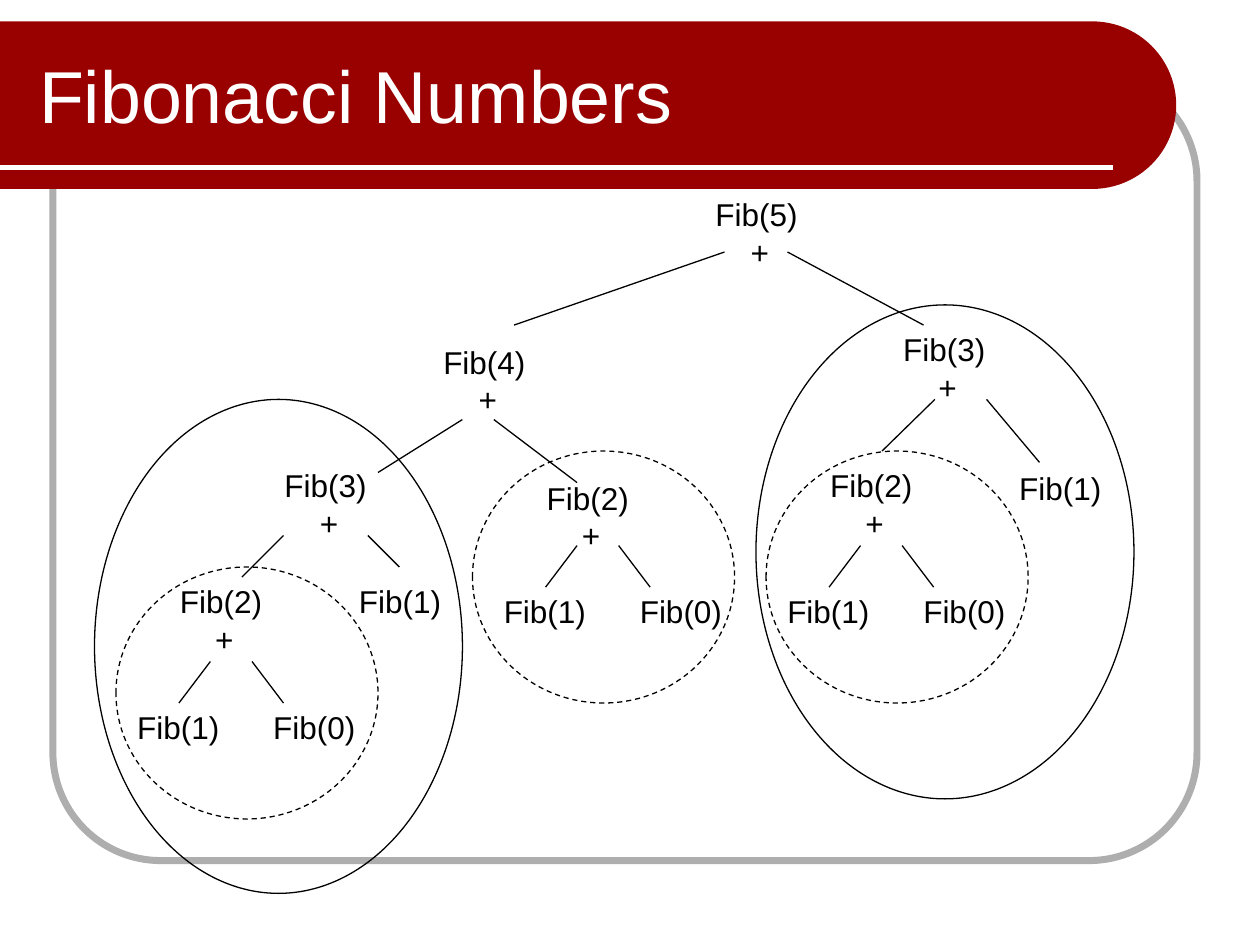
from math import cos, pi, sin

from pptx import Presentation
from pptx.dml.color import RGBColor
from pptx.enum.dml import MSO_LINE
from pptx.enum.shapes import MSO_CONNECTOR, MSO_SHAPE
from pptx.enum.text import MSO_ANCHOR, PP_ALIGN
from pptx.oxml import parse_xml
from pptx.oxml.ns import nsdecls
from pptx.util import Inches, Pt

RED = RGBColor(0x99, 0x00, 0x00)
GRAY = RGBColor(0xAE, 0xAE, 0xAE)
BLACK = RGBColor(0x00, 0x00, 0x00)
WHITE = RGBColor(0xFF, 0xFF, 0xFF)
FONT = "Arial"

TITLE = "Fibonacci Numbers"

# Calls: n, left, top
SUMS = [(5, 5.58, 1.5), (4, 3.42, 2.67), (3, 7.07, 2.57), (3, 2.16, 3.65)]
ONES = [(1, 7.99, 3.67), (1, 2.75, 4.57)]

# Branches: x and y of the start, x and y of the end
EDGES = [
    (5.75, 2, 4.08, 2.58), (6.25, 2, 7.33, 2.58),
    (3.67, 3.33, 3, 3.75), (3.92, 3.33, 4.58, 3.83),
    (7.42, 3.17, 7, 3.58), (7.83, 3.17, 8.25, 3.67),
    (2.25, 4.25, 1.92, 4.58), (2.92, 4.25, 3.17, 4.5),
]

# Repeated Fib(2) trees: left and top of the ring, shift of the tree, drop of its root
TWOS = [(0.92, 4.5, 0, 0), (3.75, 3.58, 0.08, 0.1), (6.08, 3.58, 0, 0)]

# Repeated Fib(3) trees: left, top, width, height of the ring
THREES = [(0.75, 3.17, 2.92, 3.92), (6, 2.42, 3, 3.92)]


def inches(*sizes):
    return [Inches(size) for size in sizes]


def style(run, size, color):
    run.font.name = FONT
    run.font.size = Pt(size)
    run.font.color.rgb = color


def outline(shape, color, width):
    """Leave only the line of a shape."""
    shape.shadow.inherit = False
    shape.fill.background()
    shape.line.color.rgb = color
    shape.line.width = Pt(width)


def add_line(shapes, ends, color=BLACK, width=0.75):
    line = shapes.add_connector(MSO_CONNECTOR.STRAIGHT, *inches(*ends))
    line.line.color.rgb = color
    line.line.width = Pt(width)
    props = line._element.spPr
    props.append(parse_xml(f"<a:effectLst {nsdecls('a')}/>"))


def add_ring(shapes, box, dash=False):
    ring = shapes.add_shape(MSO_SHAPE.OVAL, *inches(*box))
    outline(ring, BLACK, 0.75)
    if dash:
        ring.line.dash_style = MSO_LINE.DASH


def add_call(shapes, n, left, top, plus=False):
    """Write Fib(n), with an indented plus below if it branches."""
    frame = shapes.add_textbox(*inches(left, top, 0.93, 0.77)).text_frame
    frame.word_wrap = True
    para = frame.paragraphs[0]
    style(para.add_run(), 18, BLACK)
    para.runs[0].text = f"Fib({n})"
    if plus:
        para = frame.add_paragraph()
        para._p.get_or_add_pPr().set("marL", str(Inches(0.28)))
        run = para.add_run()
        run.text = "+"
        style(run, 18, BLACK)


def add_frame(shapes):
    """Draw the gray border and the red title band."""
    border = shapes.add_shape(MSO_SHAPE.ROUNDED_RECTANGLE, *inches(0.42, 0.58, 9.08, 6.25))
    border.adjustments[0] = 0.137
    outline(border, GRAY, 4)

    radius, steps = 0.665, 48
    mid_x, mid_y = 8.67, 0.835
    turns = [pi * i / steps - pi / 2 for i in range(steps + 1)]
    arc = [(mid_x + radius * cos(t), mid_y + radius * sin(t)) for t in turns]
    path = shapes.build_freeform(0, Inches(0.17), scale=1.0)
    path.add_line_segments([inches(*point) for point in arc + [(0, 1.5)]])
    band = path.convert_to_shape()
    band.shadow.inherit = False
    band.fill.solid()
    band.fill.fore_color.rgb = RED
    band.line.fill.background()
    add_line(shapes, (0, 1.33, 8.83, 1.33), WHITE, 3)


def add_title(shapes):
    title = shapes.title
    title.left, title.top, title.width, title.height = inches(0.21, 0.25, 7.79, 1)
    shapes._spTree.append(title._element)  # in front of the band
    frame = title.text_frame
    frame.vertical_anchor = MSO_ANCHOR.MIDDLE
    para = frame.paragraphs[0]
    para.alignment = PP_ALIGN.LEFT
    run = para.add_run()
    run.text = TITLE
    style(run, 42, WHITE)


def add_two(shapes, left, top, shift, drop):
    """Draw a Fib(2) tree with its two leaves and its dashed ring."""
    x = left + shift
    add_call(shapes, 2, x + 0.41, top + 0.07 + drop, plus=True)
    add_call(shapes, 1, x + 0.07, top + 1.07)
    add_call(shapes, 0, x + 1.15, top + 1.07)
    add_line(shapes, (x + 0.75, top + 0.75, x + 0.5, top + 1.08))
    add_line(shapes, (x + 1.08, top + 0.75, x + 1.33, top + 1.08))
    add_ring(shapes, (left, top, 2.08, 2), dash=True)


def main():
    deck = Presentation()
    deck.slide_width, deck.slide_height = inches(10, 7.5)
    shapes = deck.slides.add_slide(deck.slide_layouts[5]).shapes
    add_frame(shapes)
    add_title(shapes)
    for call in SUMS:
        add_call(shapes, *call, plus=True)
    for call in ONES:
        add_call(shapes, *call)
    for ends in EDGES:
        add_line(shapes, ends)
    for tree in TWOS:
        add_two(shapes, *tree)
    for box in THREES:
        add_ring(shapes, box)
    deck.save("out.pptx")


if __name__ == "__main__":
    main()
